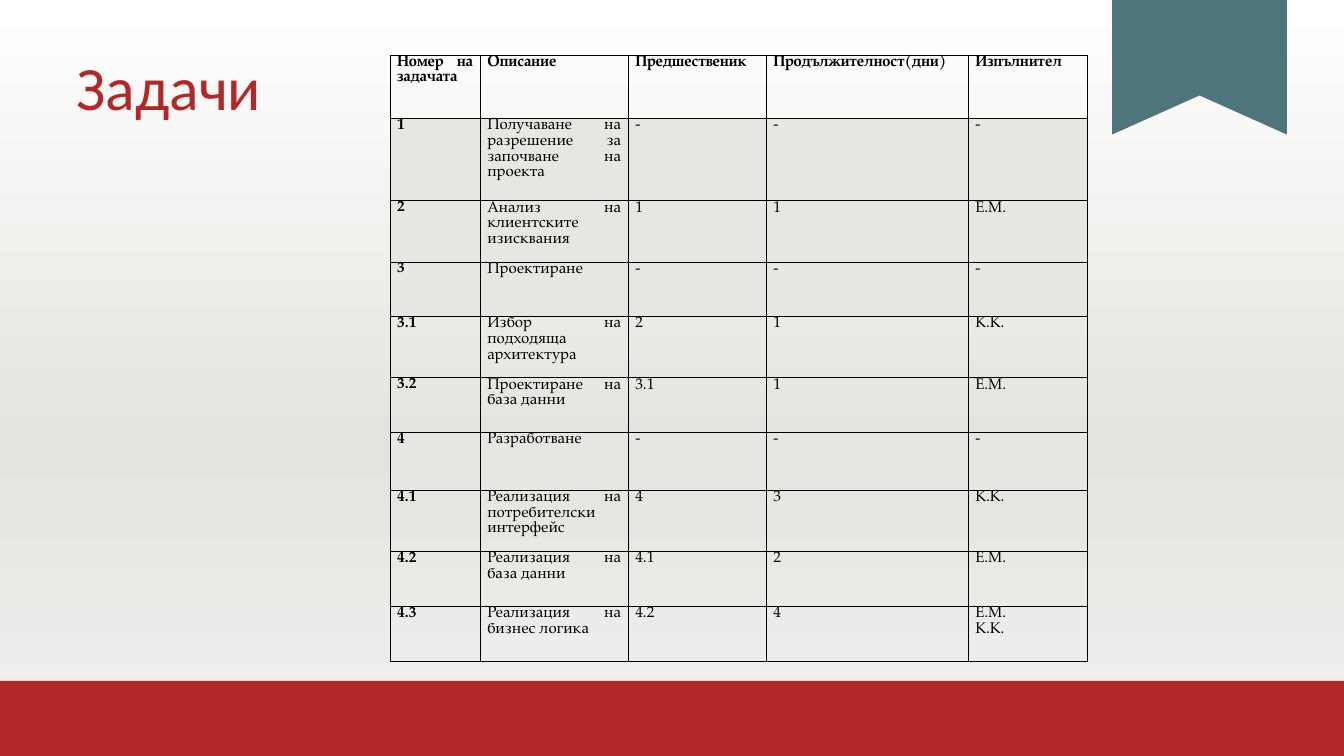
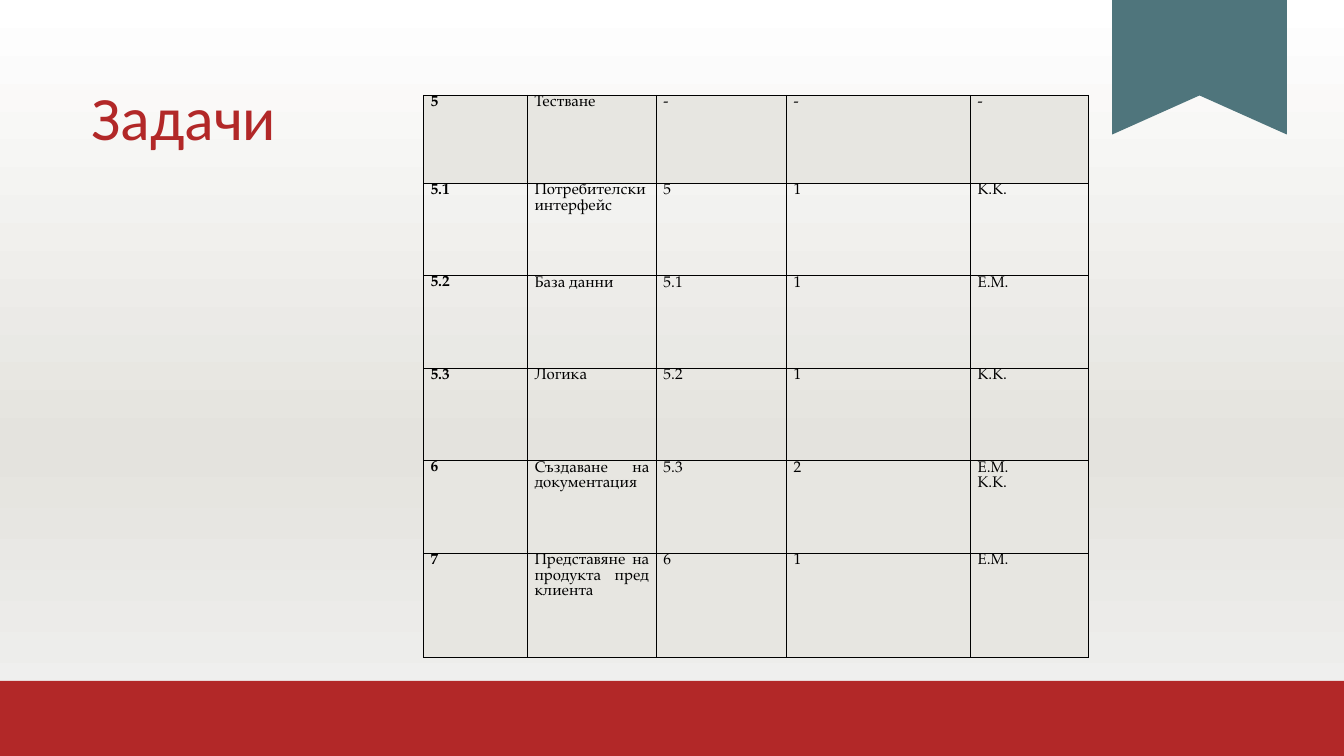
from copy import deepcopy

from lxml.etree import SubElement as Sub
from pptx import Presentation
from pptx.dml.color import RGBColor
from pptx.enum.shapes import MSO_SHAPE as SHAPE
from pptx.enum.text import MSO_ANCHOR as ANCHOR, PP_ALIGN as ALIGN
from pptx.oxml.ns import qn
from pptx.util import Cm, Pt

WIDTH, HEIGHT = 33.87, 19.05
RED, TEAL, BLACK, SHADE = "B22828", "4F757C", "000000", "E7E6E1"
GRADIENT = [(0, "FFFFFF"), (0.59, "E4E3DE"), (1, "F2F2F2")]
TITLE_FONT, TABLE_FONT = "Calibri", "TeX Gyre Pagella"
BAND_BOX = (0, 17.16, WIDTH, HEIGHT - 17.16)
RIBBON_BOX = (28.03, 0, 4.4, 3.39)

HEADER = ("Номер на задачата", "Описание", "Предшественик",
          "Продължителност(дни)", "Изпълнител")
PLAN = [
    ("1", "Получаване на разрешение за започване на проекта", "-", "-", "-"),
    ("2", "Анализ на клиентските изисквания", "1", "1", "Е.М."),
    ("3", "Проектиране", "-", "-", "-"),
    ("3.1", "Избор на подходяща архитектура", "2", "1", "К.К."),
    ("3.2", "Проектиране на база данни", "3.1", "1", "Е.М."),
    ("4", "Разработване", "-", "-", "-"),
    ("4.1", "Реализация на потребителски интерфейс", "4", "3", "К.К."),
    ("4.2", "Реализация на база данни", "4.1", "2", "Е.М."),
    ("4.3", "Реализация на бизнес логика", "4.2", "4", "Е.М.\nК.К."),
]
FINISH = [
    ("5", "Тестване", "-", "-", "-"),
    ("5.1", "Потребителски интерфейс", "5", "1", "К.К."),
    ("5.2", "База данни", "5.1", "1", "Е.М."),
    ("5.3", "Логика", "5.2", "1", "К.К."),
    ("6", "Създаване на документация", "5.3", "2", "Е.М.\nК.К."),
    ("7", "Представяне на продукта пред клиента", "6", "1", "Е.М."),
]


def color(value):
    """Turn a hex string into a colour."""
    return RGBColor.from_string(value)


def paint(sp, value):
    """Give a shape a flat fill without line or shadow."""
    sp.fill.solid()
    sp.fill.fore_color.rgb = color(value)
    sp.line.fill.background()
    sp.shadow.inherit = False


def add_run(p, text, font, size, value, bold=False):
    """Append a formatted run to a paragraph."""
    r = p.add_run()
    r.text = text
    r.font.name, r.font.size, r.font.bold = font, Pt(size), bold
    r.font.color.rgb = color(value)


def add_background(s):
    """Fill the slide with the vertical three-stop gradient."""
    fill = s.background.fill
    fill.gradient()
    fill.gradient_angle = 270
    last = s.element.findall(".//" + qn("a:gs"))[-1]
    last.addnext(deepcopy(last))
    for stop, (position, value) in zip(fill.gradient_stops, GRADIENT):
        stop.position = position
        stop.color.rgb = color(value)


def add_band(s, box):
    """Draw the band along the foot of the slide."""
    paint(s.shapes.add_shape(SHAPE.RECTANGLE, *map(Cm, box)), RED)


def add_ribbon(s, box):
    """Draw the notched ribbon hanging from the top edge."""
    x, y, w, h = box
    outline = [(1, 0), (1, 1), (0.5, 0.71), (0, 1)]
    fb = s.shapes.build_freeform(Cm(x), Cm(y))
    fb.add_line_segments([(Cm(x + w * u), Cm(y + h * v)) for u, v in outline])
    paint(fb.convert_to_shape(), TEAL)


def add_title(s, text, box):
    """Write the slide title, centred vertically in its box."""
    tf = s.shapes.add_textbox(*map(Cm, box)).text_frame
    tf.word_wrap = True
    tf.vertical_anchor = ANCHOR.MIDDLE
    p = tf.paragraphs[0]
    p.line_spacing = 0.9
    add_run(p, text, TITLE_FONT, 44, RED)


def add_borders(cell):
    """Put a thin black line on each side of a cell."""
    tc_pr = cell._tc.get_or_add_tcPr()
    for i, side in enumerate(("lnL", "lnR", "lnT", "lnB")):
        ln = Sub(tc_pr, qn("a:" + side), w=str(Pt(0.5)))
        Sub(Sub(ln, qn("a:solidFill")), qn("a:srgbClr"), val=BLACK)
        tc_pr.insert(i, ln)


def fill_cell(cell, text, bold, shaded):
    """Write and format one table cell."""
    cell.margin_left = cell.margin_right = Cm(0.18)
    cell.margin_top = cell.margin_bottom = 0
    if shaded:
        cell.fill.solid()
        cell.fill.fore_color.rgb = color(SHADE)
    else:
        cell.fill.background()
    add_borders(cell)
    tf = cell.text_frame
    for i, line in enumerate(text.split("\n")):
        p = tf.add_paragraph() if i else tf.paragraphs[0]
        p.alignment = ALIGN.JUSTIFY
        add_run(p, line, TABLE_FONT, 11, BLACK, bold)


def add_tasks(s, rows, origin, widths, heights):
    """Build the task table, shading the main tasks."""
    box = (*origin, sum(widths), sum(heights))
    table = s.shapes.add_table(len(rows), len(widths), *map(Cm, box)).table
    table.first_row = table.horz_banding = False
    for column, width in zip(table.columns, widths):
        column.width = Cm(width)
    for i, (row, height) in enumerate(zip(rows, heights)):
        table.rows[i].height = Cm(height)
        for j, text in enumerate(row):
            bold = j == 0 or row is HEADER
            fill_cell(table.cell(i, j), text, bold, row[0].isdigit())


def add_task_slide(prs, title_box, rows, origin, widths, heights):
    """Add a slide with the shared decoration, a title and a table."""
    s = prs.slides.add_slide(prs.slide_layouts[6])
    add_background(s)
    add_band(s, BAND_BOX)
    add_ribbon(s, RIBBON_BOX)
    add_title(s, "Задачи", title_box)
    add_tasks(s, rows, origin, widths, heights)


def main():
    """Build and save the presentation."""
    prs = Presentation()
    prs.slide_width, prs.slide_height = Cm(WIDTH), Cm(HEIGHT)
    add_task_slide(prs, (1.68, 0.66, 7.47, 3.23), [HEADER] + PLAN, (9.83, 1.39),
                   [2.27, 3.73, 3.48, 5.09, 3],
                   [1.6, 2.07, 1.54, 1.38, 1.54, 1.38, 1.46, 1.54, 1.38, 1.38])
    add_task_slide(prs, (2.06, 1.19, 5.77, 3.68), FINISH, (10.67, 2.4),
                   [2.62, 3.25, 3.28, 4.64, 2.96],
                   [2.22] + [2.33] * 4 + [2.62])
    prs.save("out.pptx")


if __name__ == "__main__":
    main()
